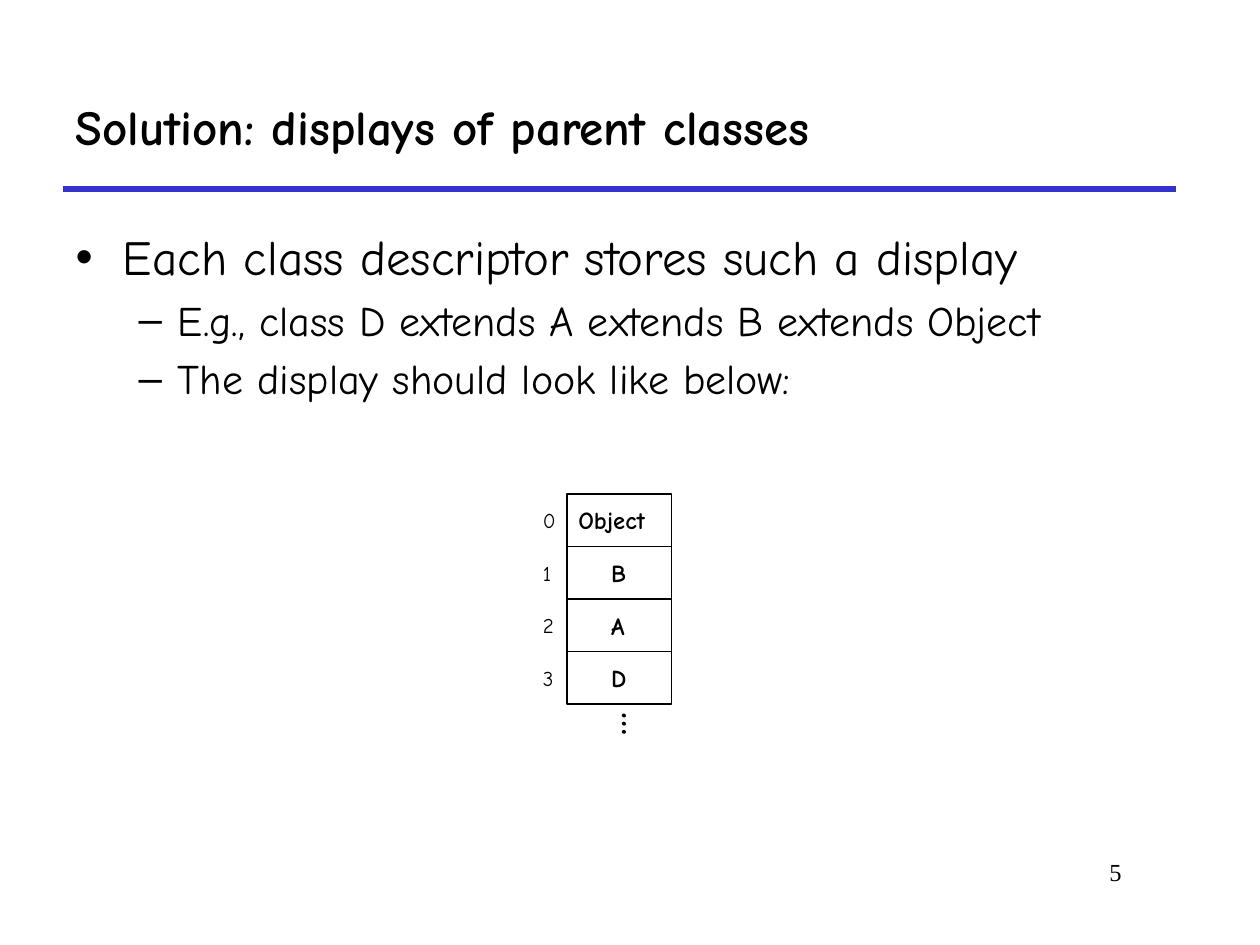
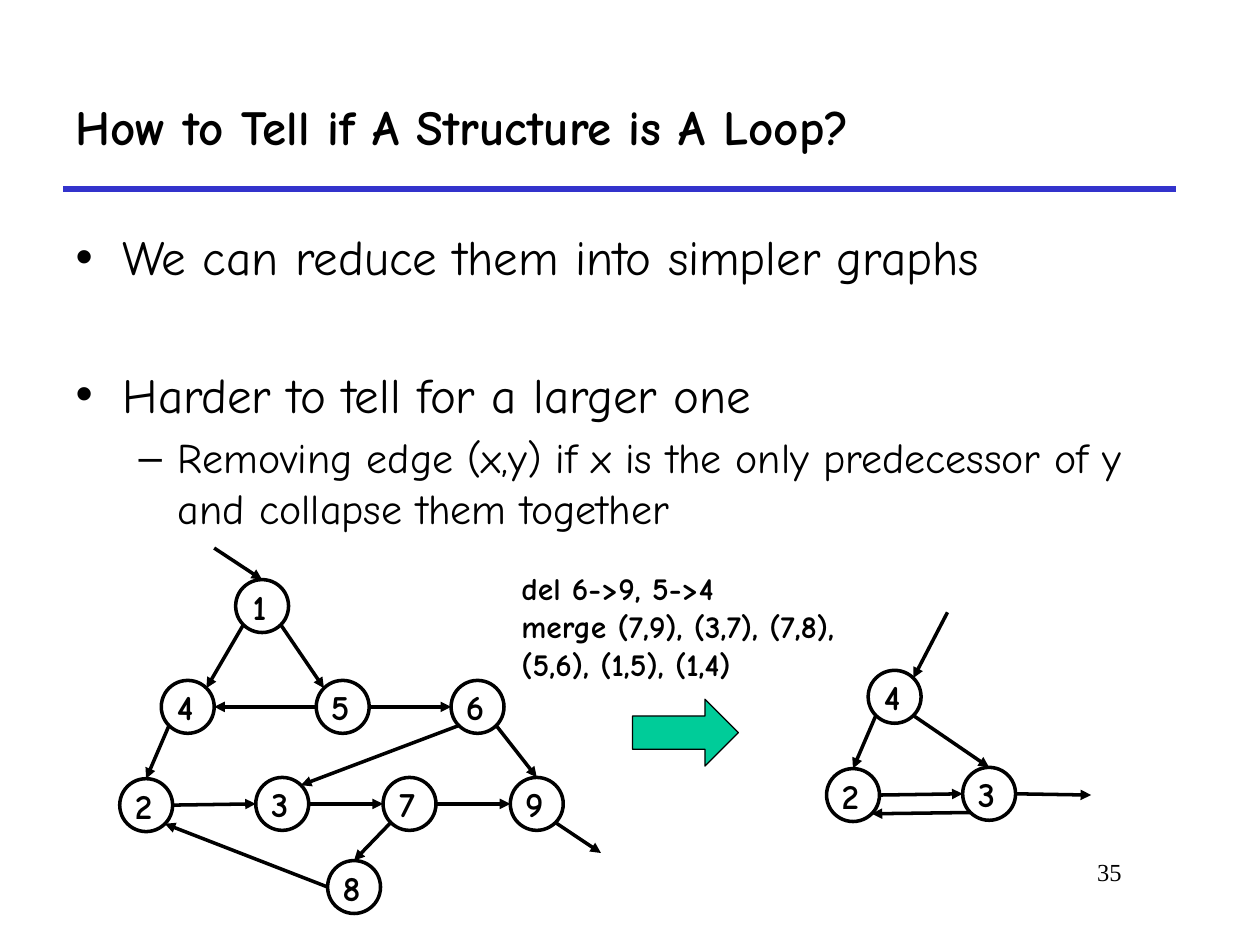
from math import cos, radians, sin

from lxml import etree
from pptx import Presentation
from pptx.dml.color import RGBColor
from pptx.enum.shapes import MSO_CONNECTOR, MSO_SHAPE
from pptx.enum.text import MSO_ANCHOR, MSO_AUTO_SIZE, PP_ALIGN
from pptx.oxml.ns import qn
from pptx.util import Inches, Pt

LEFT, CENTER, RIGHT = PP_ALIGN.LEFT, PP_ALIGN.CENTER, PP_ALIGN.RIGHT
TOP, MIDDLE = MSO_ANCHOR.TOP, MSO_ANCHOR.MIDDLE
NO_FIT = MSO_AUTO_SIZE.NONE
STRAIGHT = MSO_CONNECTOR.STRAIGHT
RECT, OVAL, ARROW = MSO_SHAPE.RECTANGLE, MSO_SHAPE.OVAL, MSO_SHAPE.RIGHT_ARROW

COLORS = {"ink": "000000", "rule": "3333CC", "arrow": "00CC99"}
FONT, NUMBER_FONT = "Comic Neue", "Times New Roman"
LEVEL_SIZES = [28, 24]

# Bullets: (level, text, extra space before in points)
DISPLAY = {
    "title": "Solution: displays of parent classes",
    "number": "5",
    "bullets": [
        (0, "Each class descriptor stores such a display", 0),
        (1, "E.g., class D extends A extends B extends Object", 0),
        (1, "The display should look like below:", 0),
    ],
}
LOOP = {
    "title": "How to Tell if A Structure is A Loop?",
    "number": "35",
    "bullets": [
        (0, "We can reduce them into simpler graphs", 0),
        (0, "Harder to tell for a larger one", 45),
        (1, "Removing edge (x,y) if x is the only predecessor of y "
            "and collapse them together", 0),
    ],
}

# Class name and its left inset within the cell
DISPLAY_CELLS = [("Object", 0.09), ("B", 0.35), ("A", 0.35), ("D", 0.35)]
CELL_LEFT, CELL_TOP, CELL_W, CELL_H = 4.5, 3.92, 0.83, 0.417

REDUCTION_STEPS = ["del 6->9, 5->4", "merge (7,9), (3,7), (7,8),", "(5,6), (1,5), (1,4)"]

# Nodes: name -> centre. Edges: (node, side) or a free point at each end.
NODE_SIZE = 0.42
SIDE_ANGLES = {"E": 0, "SE": 45, "S": 90, "SW": 135, "W": 180, "NW": 225, "N": 270, "NE": 315}
LARGE_GRAPH = {
    "nodes": {"1": (2.08, 4.81), "4": (1.49, 5.61), "5": (2.72, 5.61), "6": (3.79, 5.61),
              "2": (1.16, 6.39), "3": (2.24, 6.38), "7": (3.25, 6.38), "9": (4.26, 6.38),
              "8": (2.81, 7.04)},
    "edges": [((1.7, 4.35), ("1", "N")), (("1", "SW"), ("4", "NE")),
              (("1", "SE"), ("5", "NW")), (("5", "W"), ("4", "E")),
              (("5", "E"), ("6", "W")), (("4", "SW"), ("2", "N")),
              (("6", "SW"), ("3", "NE")), (("6", "SE"), ("9", "N")),
              (("2", "E"), ("3", "W")), (("3", "E"), ("7", "W")),
              (("7", "E"), ("9", "W")), (("7", "SW"), ("8", "N")),
              (("8", "W"), ("2", "SE")), (("9", "SE"), (4.77, 6.77))],
}
REDUCED_GRAPH = {
    "nodes": {"4": (7.1, 5.53), "2": (6.77, 6.31), "3": (7.85, 6.3)},
    "edges": [((7.52, 4.86), ("4", "NE")), (("4", "SW"), ("2", "N")),
              (("4", "SE"), ("3", "N")), (("2", "E"), ("3", "W")),
              (("3", "SW"), ("2", "SE")), (("3", "E"), (8.66, 6.31))],
}


def rgb(name):
    return RGBColor.from_string(COLORS[name])


def place(sp, x, y, w, h):
    sp.left, sp.top, sp.width, sp.height = map(Inches, (x, y, w, h))


def add_run(p, text, size, bold=False, font=FONT):
    r = p.add_run()
    r.text = text
    r.font.name, r.font.size, r.font.bold = font, Pt(size), bold
    r.font.color.rgb = rgb("ink")


def add_text(slide, lines, x, y, w, h, size, bold=False, font=FONT,
             align=LEFT, anchor=TOP, wrap=False):
    sp = slide.shapes.add_textbox(*map(Inches, (x, y, w, h)))
    tf = sp.text_frame
    tf.word_wrap, tf.vertical_anchor = wrap, anchor
    for i, line in enumerate(lines):
        p = tf.add_paragraph() if i else tf.paragraphs[0]
        p.alignment = align
        add_run(p, line, size, bold, font)
    return sp


def add_outline(slide, kind, x, y, w, h, weight, fill=None):
    sp = slide.shapes.add_shape(kind, *map(Inches, (x, y, w, h)))
    sp.shadow.inherit = False
    if fill:
        sp.fill.solid()
        sp.fill.fore_color.rgb = rgb(fill)
    else:
        sp.fill.background()
    sp.line.color.rgb, sp.line.width = rgb("ink"), Pt(weight)
    return sp


def label(sp, text, size, align, left=0, right=0):
    tf = sp.text_frame
    tf.word_wrap, tf.vertical_anchor = True, MIDDLE
    tf.margin_left, tf.margin_right = Inches(left), Inches(right)
    tf.margin_top = tf.margin_bottom = 0
    p = tf.paragraphs[0]
    p.alignment = align
    add_run(p, text, size, bold=True)


def add_line(slide, start, end, color, weight, arrow=False):
    line = slide.shapes.add_connector(STRAIGHT, *map(Inches, (*start, *end)))
    line.line.color.rgb, line.line.width = rgb(color), Pt(weight)
    if arrow:
        etree.SubElement(line.line._get_or_add_ln(), qn("a:tailEnd"), type="triangle")
    etree.SubElement(line._element.spPr, qn("a:effectLst"))


def add_slide(prs, content):
    """Add the rule, title, bullets and slide number that every slide has."""
    slide = prs.slides.add_slide(prs.slide_layouts[1])
    add_line(slide, (0.5, 1.5), (9.33, 1.5), "rule", 3)

    title, body = slide.placeholders
    place(title, 0.5, 0.5, 8.83, 1)
    tf = title.text_frame
    tf.auto_size, tf.vertical_anchor = NO_FIT, MIDDLE
    tf.paragraphs[0].alignment = LEFT
    add_run(tf.paragraphs[0], content["title"], 28, bold=True)

    place(body, 0.5, 1.75, 9.08, 4.83)
    tf = body.text_frame
    tf.auto_size = NO_FIT
    for i, (level, text, gap) in enumerate(content["bullets"]):
        p = tf.add_paragraph() if i else tf.paragraphs[0]
        p.level = level
        if gap or i == 0:
            p.space_before = Pt(gap)
        add_run(p, text, LEVEL_SIZES[level])

    add_text(slide, [content["number"]], 7.58, 6.75, 1.42, 0.5, 14,
             font=NUMBER_FONT, align=RIGHT, wrap=True)
    return slide


def add_display(slide):
    for i, (name, inset) in enumerate(DISPLAY_CELLS):
        y = CELL_TOP + i * CELL_H
        cell = add_outline(slide, RECT, CELL_LEFT, y, CELL_W, CELL_H, 1)
        label(cell, name, 14, LEFT, left=inset)
        add_text(slide, [str(i)], CELL_LEFT - 0.29, y, 0.31, CELL_H, 12, anchor=MIDDLE)
    more = add_text(slide, ["…"], 4.85, 5.53, 0.39, 0.44, 20, bold=True)
    more.rotation = 90


def add_graph(slide, graph):
    nodes, radius = graph["nodes"], NODE_SIZE / 2

    def end_point(end):
        if end[0] not in nodes:
            return end
        (x, y), angle = nodes[end[0]], radians(SIDE_ANGLES[end[1]])
        return x + radius * cos(angle), y + radius * sin(angle)

    for name, (x, y) in nodes.items():
        node = add_outline(slide, OVAL, x - radius, y - radius, NODE_SIZE, NODE_SIZE, 2)
        label(node, name, 20, CENTER, right=0.04)
    for start, end in graph["edges"]:
        add_line(slide, end_point(start), end_point(end), "ink", 2, arrow=True)


def main():
    prs = Presentation()
    prs.slide_width, prs.slide_height = Inches(10), Inches(7.5)

    add_display(add_slide(prs, DISPLAY))

    slide = add_slide(prs, LOOP)
    add_graph(slide, LARGE_GRAPH)
    add_graph(slide, REDUCED_GRAPH)
    add_outline(slide, ARROW, 5.02, 5.55, 0.84, 0.53, 0.75, fill="arrow")
    add_text(slide, REDUCTION_STEPS, 4.04, 4.47, 3.06, 1.04, 18, bold=True)

    prs.save("out.pptx")


if __name__ == "__main__":
    main()
